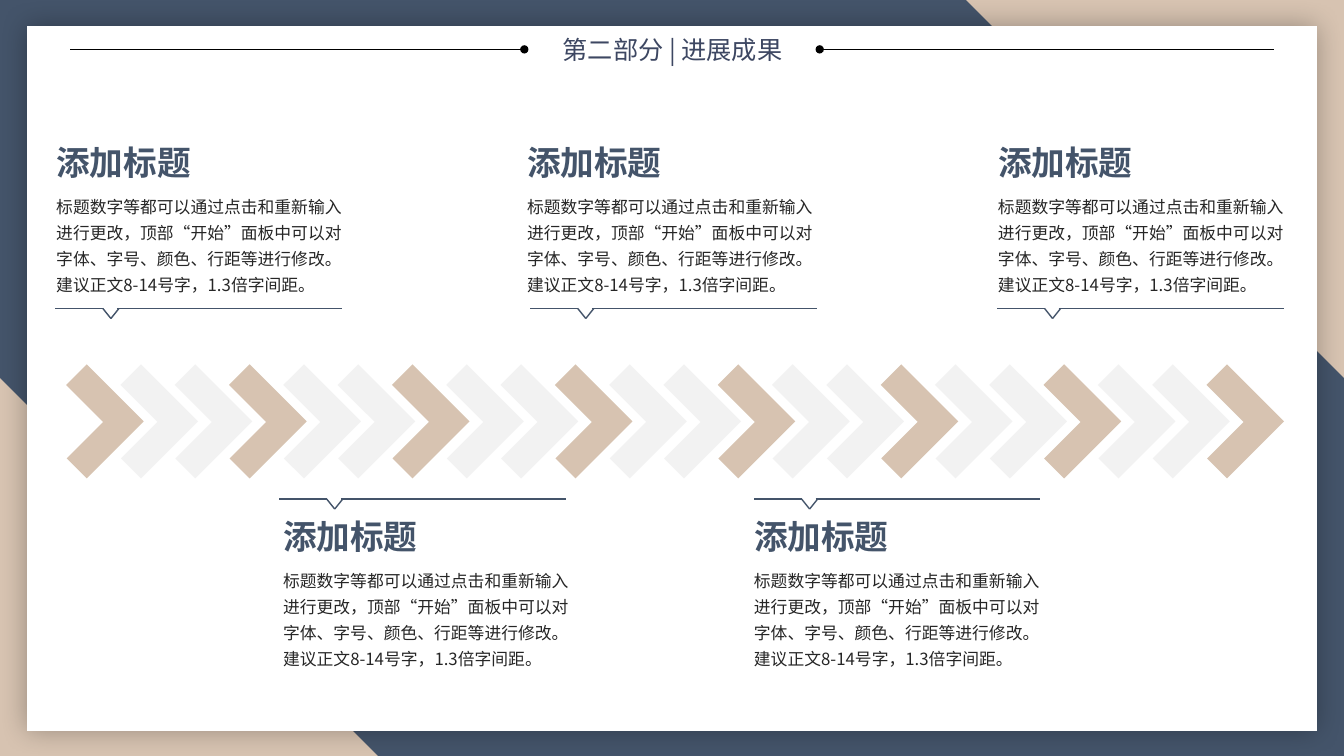
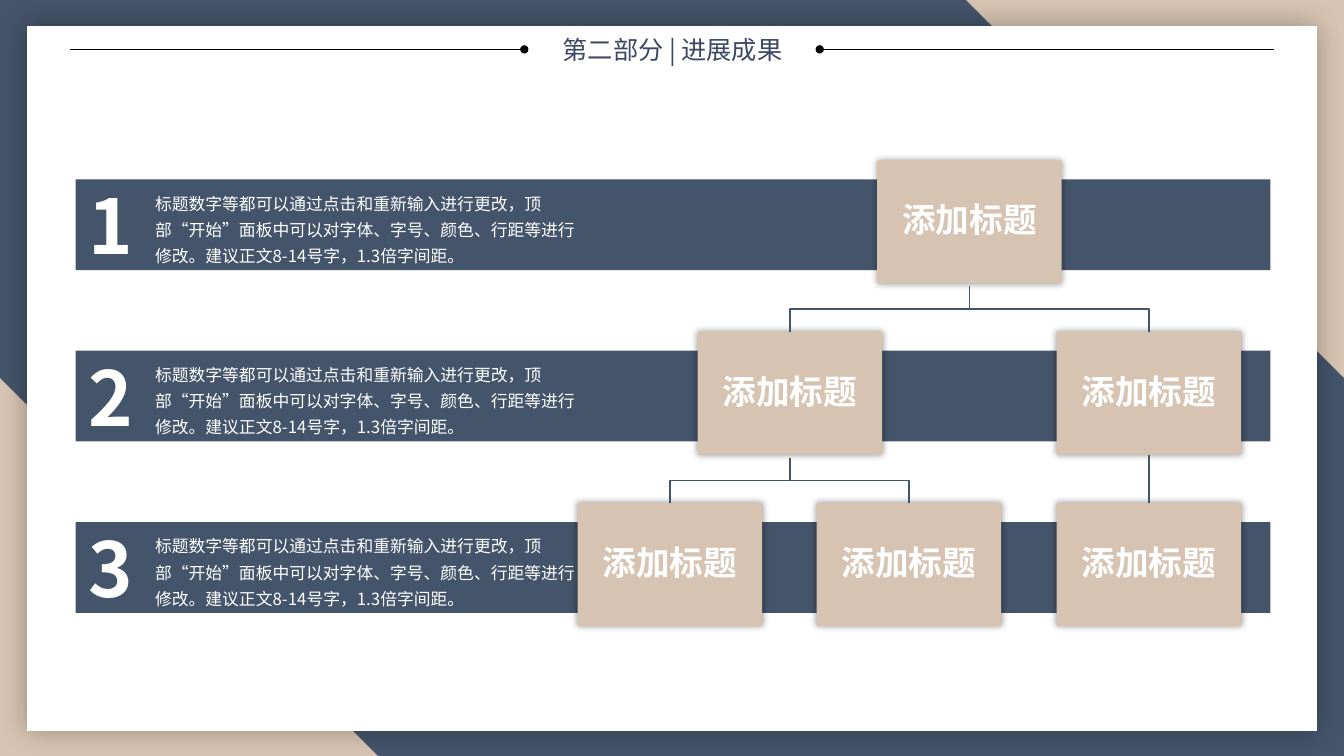
import pptx
import pptx.util
import pptx.dml.color
import pptx.enum.shapes
import pptx.enum.text
import pptx.oxml.ns
from lxml import etree

Inches, Pt = pptx.util.Inches, pptx.util.Pt
SHAPE = pptx.enum.shapes.MSO_SHAPE
STRAIGHT = pptx.enum.shapes.MSO_CONNECTOR.STRAIGHT
CENTER = pptx.enum.text.PP_ALIGN.CENTER
MIDDLE = pptx.enum.text.MSO_ANCHOR.MIDDLE
qn = pptx.oxml.ns.qn

# Content
SECTION = "第二部分 | 进展成果"
HEADING = "添加标题"
BODY = ("标题数字等都可以通过点击和重新输入进行更改，顶部“开始”面板中可以对"
        "字体、字号、颜色、行距等进行修改。建议正文8-14号字，1.3倍字间距。")

# Timeline notes: left of text, top of heading, left and top of the marker line
NOTES = [
    (0.46, 1.40, 0.55, 3.06),
    (5.13, 1.40, 5.26, 3.06),
    (9.80, 1.40, 9.89, 3.06),
    (2.71, 5.11, 2.77, 4.95),
    (7.38, 5.11, 7.48, 4.95),
]
# Marker line segments, relative to its left and top
MARKER = [
    ((0, 0), (0.47, 0)),
    ((0.47, 0), (0.55, 0.1)),
    ((0.63, 0), (0.55, 0.1)),
    ((0.61, 0), (2.84, 0)),
]
CHEVRONS, CHEVRON_FIRST, CHEVRON_LAST = 22, 0.46, 11.77

# Hierarchy: left of each box by level, and links as (level, parent, child)
LEVELS = [[8.70], [6.92, 10.48], [5.73, 8.10, 10.48]]
LINKS = [(0, 0, 0), (0, 0, 1), (1, 0, 0), (1, 0, 1), (1, 1, 2)]
BAND_TOP, LEVEL_STEP = 1.78, 1.70
BOX_WIDTH, BOX_HEIGHT, BOX_RISE = 1.83, 1.22, 0.19

# Style
FONT = "Noto Sans CJK SC"
COLORS = {
    "navy": "44546A", "sand": "D7C3B1", "pale": "F2F2F2", "white": "FFFFFF",
    "black": "000000", "title": "3D4762", "text": "262626",
}


def rgb(name):
    return pptx.dml.color.RGBColor.from_string(COLORS[name])


def inches(*values):
    return [Inches(value) for value in values]


def write(frame, text, size, color, bold=False, align=None, spacing=None):
    para = frame.paragraphs[0]
    para.alignment = align
    para.line_spacing = spacing
    span = para.add_run()
    span.text = text
    span.font.size = Pt(size)
    span.font.bold = bold
    span.font.name = FONT
    span.font.color.rgb = rgb(color)
    properties = span._r.get_or_add_rPr()
    properties.set("lang", "zh-CN")
    latin = properties.find(qn("a:latin"))
    east_asian = etree.Element(qn("a:ea"), typeface=FONT)
    latin.addnext(east_asian)


def add_text(page, at, text, size, color, wrap=True, **style):
    box = page.shapes.add_textbox(*inches(*at))
    box.text_frame.word_wrap = wrap
    write(box.text_frame, text, size, color, **style)


def add_heading(frame, color, align=None):
    write(frame, HEADING, 24, color, bold=True, align=align, spacing=0.9)


def add_block(page, kind, at, color, adjustments=()):
    block = page.shapes.add_shape(kind, *inches(*at))
    block.shadow.inherit = False
    block.fill.solid()
    block.fill.fore_color.rgb = rgb(color)
    block.line.fill.background()
    for index, value in enumerate(adjustments):
        block.adjustments[index] = value
    return block


def add_glow(block, blur, opacity):
    effects = block.element.spPr.find(qn("a:effectLst"))
    shadow = etree.SubElement(effects, qn("a:outerShdw"),
                              blurRad=str(Pt(blur)), dist="0", algn="ctr", rotWithShape="0")
    color = etree.SubElement(shadow, qn("a:srgbClr"), val=COLORS["black"])
    etree.SubElement(color, qn("a:alpha"), val=str(opacity * 1000))


def add_line(shapes, start, end, color="navy", width=1, dot=False):
    line = shapes.add_connector(STRAIGHT, *inches(*start, *end))
    line.line.color.rgb = rgb(color)
    line.line.width = Pt(width)
    if dot:
        outline = line.element.spPr.find(qn("a:ln"))
        etree.SubElement(outline, qn("a:headEnd"), type="oval")
    etree.SubElement(line.element.spPr, qn("a:effectLst"))
    return line


def add_elbow(page, start, end):
    """Draw a line that goes down, across and down again."""
    middle = (start[1] + end[1]) / 2
    builder = page.shapes.build_freeform(*inches(*start))
    corners = [(start[0], middle), (end[0], middle), end]
    builder.add_line_segments([inches(*corner) for corner in corners], close=False)
    elbow = builder.convert_to_shape()
    elbow.shadow.inherit = False
    elbow.fill.background()
    elbow.line.color.rgb = rgb("navy")
    elbow.line.width = Pt(1)


def prepare_layout(page):
    """Draw the frame once on a page, then move it to the shared layout."""
    layout = page.slide_layout
    layout.background.fill.solid()
    layout.background.fill.fore_color.rgb = rgb("sand")
    add_block(page, SHAPE.SNIP_2_DIAG_RECTANGLE, (0, 0, 13.33, 7.5), "navy", (0, 0.5))
    card = add_block(page, SHAPE.RECTANGLE, (0.27, 0.26, 12.79, 6.99), "white")
    add_glow(card, 20, 30)
    for inner, outer in ((5.2, 0.69), (8.13, 12.64)):
        add_line(page.shapes, (inner, 0.49), (outer, 0.49), "black", 0.5, dot=True)
    frame = [shape for shape in page.shapes if not shape.is_placeholder]
    for index, shape in enumerate(frame):
        layout.shapes.element.insert(2 + index, shape.element)

    for holder in list(layout.placeholders):
        if holder.placeholder_format.idx != 0:
            holder.element.getparent().remove(holder.element)
            continue
        holder.left, holder.top, holder.width, holder.height = inches(5.34, 0.29, 2.66, 0.41)
        holder.text_frame.vertical_anchor = MIDDLE


def add_title(page):
    write(page.shapes.title.text_frame, SECTION, 18, "title", align=CENTER)


def build_timeline(page):
    add_title(page)
    # Notes with their marker lines
    for left, top, line_left, line_top in NOTES:
        heading = page.shapes.add_textbox(*inches(left, top, 2.89, 0.46))
        add_heading(heading.text_frame, "navy")
        add_text(page, (left, top + 0.44, 3.07, 1.15), BODY, 12, "text", spacing=1.3)
        marker = page.shapes.add_group_shape()
        for ends in MARKER:
            start, end = [(line_left + x, line_top + y) for x, y in ends]
            add_line(marker.shapes, start, end)

    # Row of chevrons, every third one in sand
    step = (CHEVRON_LAST - CHEVRON_FIRST) / (CHEVRONS - 1)
    for index in range(CHEVRONS):
        color = "pale" if index % 3 else "sand"
        at = (CHEVRON_FIRST + index * step, 3.78, 0.8, 0.8)
        chevron = add_block(page, SHAPE.CORNER, at, color, (0.36, 0.35))
        chevron.rotation = 225


def build_hierarchy(page):
    add_title(page)
    # Numbered bands
    tops = [BAND_TOP + level * LEVEL_STEP for level in range(len(LEVELS))]
    for number, top in enumerate(tops, 1):
        add_block(page, SHAPE.RECTANGLE, (0.75, top, 11.85, 0.9), "navy")
        add_text(page, (1.44, top + 0.03, 4.37, 0.89), BODY, 12, "white", spacing=1.3)
        add_text(page, (0.78, top - 0.05, 0.67, 1.01), str(number), 54, "white",
                 wrap=False, bold=True)

    # Boxes
    boxes = []
    for top, lefts in zip(tops, LEVELS):
        row = []
        for left in lefts:
            at = (left, top - BOX_RISE, BOX_WIDTH, BOX_HEIGHT)
            box = add_block(page, SHAPE.RECTANGLE, at, "sand")
            add_glow(box, 5, 40)
            frame = box.text_frame
            frame.vertical_anchor = MIDDLE
            frame.margin_left = frame.margin_right = Inches(0.19)
            frame.margin_top = frame.margin_bottom = Inches(0.19)
            add_heading(frame, "white", CENTER)
            row.append(box)
        boxes.append(row)

    # Links from each box to the boxes below it
    for level, parent, child in LINKS:
        start = (LEVELS[level][parent] + BOX_WIDTH / 2,
                 tops[level] - BOX_RISE + BOX_HEIGHT + 0.03)
        end = (LEVELS[level + 1][child] + BOX_WIDTH / 2, tops[level + 1] - BOX_RISE)
        if start[0] == end[0]:
            line = add_line(page.shapes, start, end)
            line.begin_connect(boxes[level][parent], 2)
            line.end_connect(boxes[level + 1][child], 0)
        else:
            add_elbow(page, start, end)


def main():
    deck = pptx.Presentation()
    deck.slide_width, deck.slide_height = inches(13.33, 7.5)
    layout = deck.slide_layouts[5]
    timeline, hierarchy = [deck.slides.add_slide(layout) for _ in range(2)]
    prepare_layout(timeline)
    build_timeline(timeline)
    build_hierarchy(hierarchy)
    deck.save("out.pptx")


if __name__ == "__main__":
    main()
